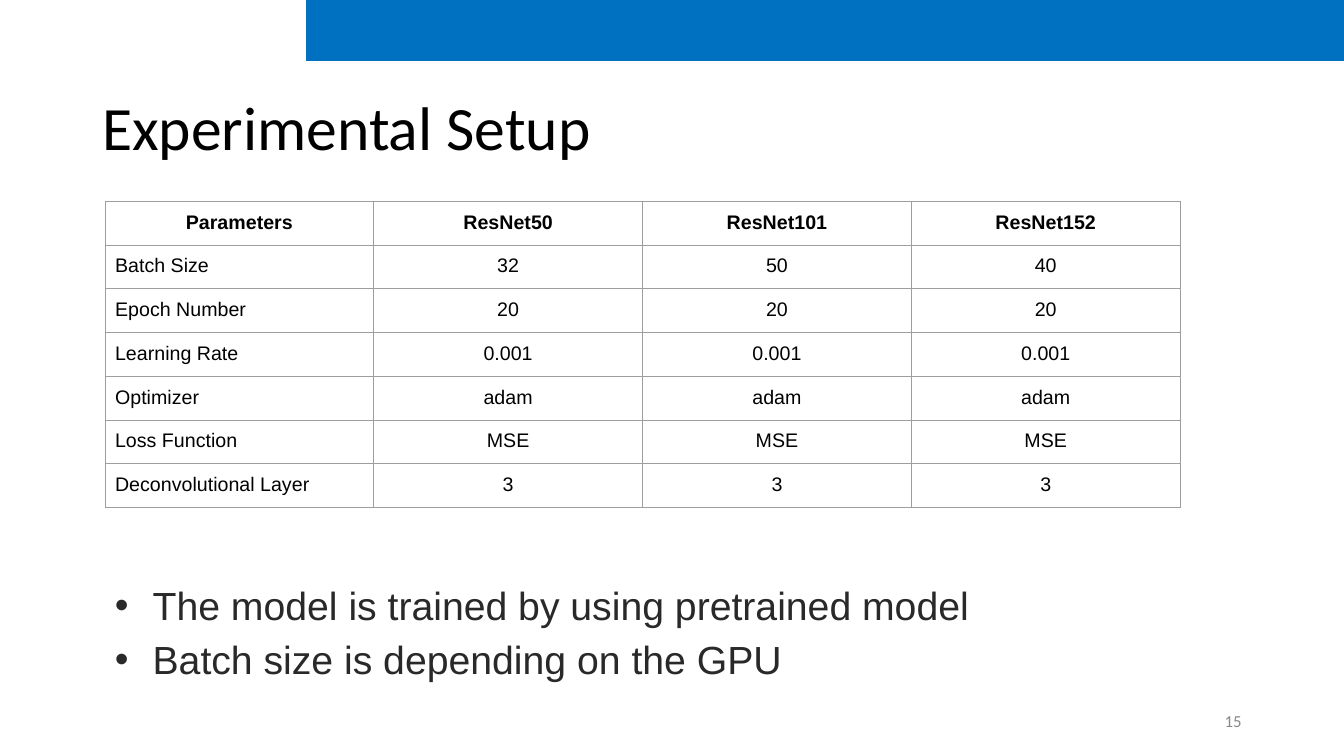
"""Build the Experimental Setup slide with its parameter table."""
from dataclasses import dataclass

from lxml.etree import SubElement
from pptx import Presentation
from pptx.dml.color import RGBColor
from pptx.enum.shapes import MSO_SHAPE
from pptx.enum.text import MSO_ANCHOR, PP_ALIGN
from pptx.oxml.ns import qn
from pptx.slide import Slide
from pptx.table import _Cell
from pptx.text.text import TextFrame, _Paragraph
from pptx.util import Pt

BLACK = RGBColor(0x00, 0x00, 0x00)
BLUE = RGBColor(0x00, 0x70, 0xC0)
DARK = RGBColor(0x29, 0x29, 0x29)
GREY = RGBColor(0x88, 0x88, 0x88)
BORDER = RGBColor(0x9E, 0x9E, 0x9E)

MODELS = ("ResNet50", "ResNet101", "ResNet152")
COLUMN_WIDTH = 192
ROW_HEIGHT = 31.2


@dataclass(frozen=True)
class Setting:
    name: str
    values: tuple[str, ...]


@dataclass(frozen=True)
class TextBox:
    left: float
    top: float
    width: float
    height: float
    lines: tuple[str, ...]
    size: float
    color: RGBColor
    font: str = "Calibri"
    anchor: MSO_ANCHOR = MSO_ANCHOR.MIDDLE
    align: PP_ALIGN = PP_ALIGN.LEFT
    spacing: float = 1.0
    bullet: bool = False


SETTINGS = (
    Setting("Batch Size", ("32", "50", "40")),
    Setting("Epoch Number", ("20",) * 3),
    Setting("Learning Rate", ("0.001",) * 3),
    Setting("Optimizer", ("adam",) * 3),
    Setting("Loss Function", ("MSE",) * 3),
    Setting("Deconvolutional Layer", ("3",) * 3),
)

TEXT_BOXES = (
    TextBox(66, 53.5, 828, 79, ("Experimental Setup",), 44, BLACK, spacing=0.9),
    TextBox(66, 406.8, 828, 79,
            ("The model is trained by using pretrained model",
             "Batch size is depending on the GPU"),
            28, DARK, font="Arial", anchor=MSO_ANCHOR.TOP, spacing=1.15, bullet=True),
    TextBox(678, 500.5, 216, 28.8, ("15",), 12, GREY, align=PP_ALIGN.RIGHT),
)


def add_bullet(p: _Paragraph, color: RGBColor) -> None:
    """Give a paragraph a hanging round bullet."""
    pPr = p._p.get_or_add_pPr()
    pPr.set("marL", str(Pt(36)))
    pPr.set("indent", str(-Pt(27)))
    buClr = SubElement(pPr, qn("a:buClr"))
    SubElement(buClr, qn("a:srgbClr"), val=str(color))
    SubElement(pPr, qn("a:buFont"), typeface="Arial")
    SubElement(pPr, qn("a:buChar"), char="•")


def write_text(tf: TextFrame, *lines: str, size: float, color: RGBColor,
               font: str = "Arial", bold: bool = False,
               align: PP_ALIGN = PP_ALIGN.LEFT, spacing: float = 1.0,
               bullet: bool = False) -> None:
    """Write one formatted paragraph per line into a text frame."""
    for i, line in enumerate(lines):
        p = tf.add_paragraph() if i else tf.paragraphs[0]
        p.alignment = align
        p.line_spacing = spacing
        if bullet:
            add_bullet(p, color)
        r = p.add_run()
        r.text = line
        r.font.name = font
        r.font.size = Pt(size)
        r.font.bold = bold
        r.font.color.rgb = color


def add_text_box(s: Slide, box: TextBox) -> None:
    """Draw a described text box."""
    sp = s.shapes.add_textbox(Pt(box.left), Pt(box.top), Pt(box.width), Pt(box.height))
    tf = sp.text_frame
    tf.word_wrap = True
    tf.vertical_anchor = box.anchor
    write_text(tf, *box.lines, size=box.size, color=box.color, font=box.font,
               align=box.align, spacing=box.spacing, bullet=box.bullet)


def add_banner(s: Slide) -> None:
    """Draw the blue band along the top edge."""
    sp = s.shapes.add_shape(MSO_SHAPE.RECTANGLE, Pt(219), Pt(0), Pt(741), Pt(43.2))
    sp.shadow.inherit = False
    sp.fill.solid()
    sp.fill.fore_color.rgb = BLUE
    sp.line.color.rgb = BLUE
    sp.line.width = Pt(1)


def style_cell(cell: _Cell) -> None:
    """Clear the cell fill, set its margins and draw its four borders."""
    cell.margin_left = cell.margin_right = Pt(7.2)
    cell.margin_top = cell.margin_bottom = Pt(7.2)
    tcPr = cell._tc.get_or_add_tcPr()
    for side in ("lnL", "lnR", "lnT", "lnB"):
        ln = SubElement(tcPr, qn(f"a:{side}"), w=str(Pt(0.75)))
        fill = SubElement(ln, qn("a:solidFill"))
        SubElement(fill, qn("a:srgbClr"), val=str(BORDER))
    cell.fill.background()


def add_settings_table(s: Slide) -> None:
    """Draw the table of training parameters for each model."""
    rows = [("Parameters", *MODELS)] + [(x.name, *x.values) for x in SETTINGS]
    n_rows, n_cols = len(rows), len(rows[0])
    table = s.shapes.add_table(n_rows, n_cols, Pt(75), Pt(143.8),
                               Pt(COLUMN_WIDTH * n_cols),
                               Pt(ROW_HEIGHT * n_rows)).table
    table.first_row = table.horz_banding = False
    for column in table.columns:
        column.width = Pt(COLUMN_WIDTH)
    for i, row in enumerate(rows):
        table.rows[i].height = Pt(ROW_HEIGHT)
        for j, text in enumerate(row):
            cell = table.cell(i, j)
            style_cell(cell)
            align = PP_ALIGN.LEFT if i and not j else PP_ALIGN.CENTER
            write_text(cell.text_frame, text, size=14, color=BLACK,
                       bold=i == 0, align=align)


def main() -> None:
    """Assemble and save the slide."""
    prs = Presentation()
    prs.slide_width, prs.slide_height = Pt(960), Pt(540)
    s = prs.slides.add_slide(prs.slide_layouts[6])
    add_banner(s)
    for box in TEXT_BOXES:
        add_text_box(s, box)
    add_settings_table(s)
    prs.save("out.pptx")


if __name__ == "__main__":
    main()
